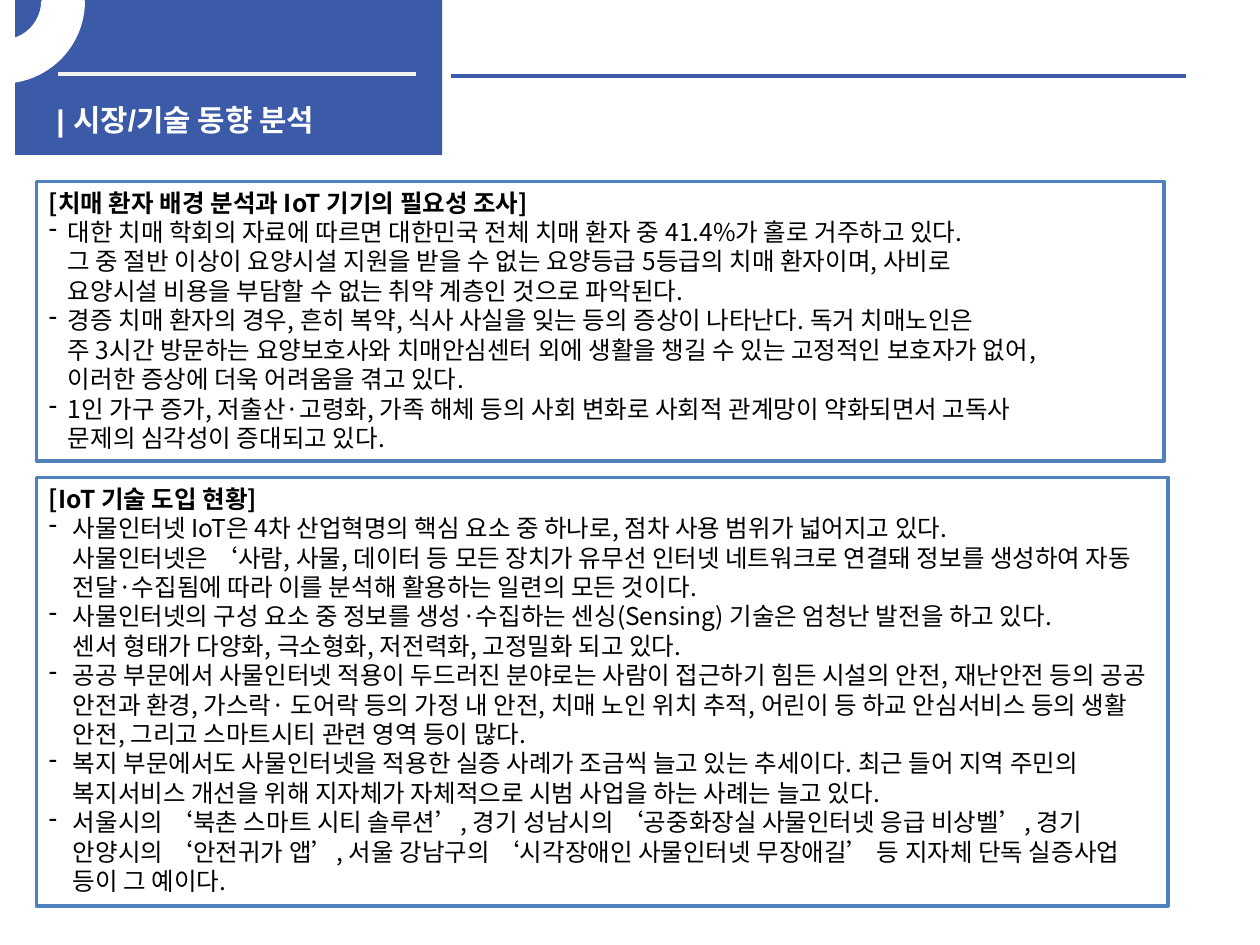
from dataclasses import dataclass

from lxml.etree import SubElement
from pptx import Presentation
from pptx.dml.color import RGBColor
from pptx.enum.shapes import MSO_CONNECTOR, MSO_SHAPE
from pptx.enum.text import MSO_ANCHOR, PP_ALIGN
from pptx.oxml.ns import qn
from pptx.util import Inches, Pt

BLUE, FRAME, WHITE, BLACK = "3B5AA8", "4F81BD", "FFFFFF", "000000"
LATIN, HANGUL = "Arial", "Noto Sans CJK KR"


@dataclass
class Panel:
    top: float
    width: float
    height: float
    indent: float
    heading: str
    items: list[str]


PANELS = [
    Panel(1.44, 8.95, 2.22, 0.15, "[치매 환자 배경 분석과 IoT 기기의 필요성 조사]", [
        "대한 치매 학회의 자료에 따르면 대한민국 전체 치매 환자 중 41.4%가 홀로 거주하고 있다.\v"
        "그 중 절반 이상이 요양시설 지원을 받을 수 없는 요양등급 5등급의 치매 환자이며, 사비로\v"
        "요양시설 비용을 부담할 수 없는 취약 계층인 것으로 파악된다.",
        "경증 치매 환자의 경우, 흔히 복약, 식사 사실을 잊는 등의 증상이 나타난다. 독거 치매노인은\v"
        "주 3시간 방문하는 요양보호사와 치매안심센터 외에 생활을 챙길 수 있는 고정적인 보호자가 없어,\v"
        "이러한 증상에 더욱 어려움을 겪고 있다.",
        "1인 가구 증가, 저출산·고령화, 가족 해체 등의 사회 변화로 사회적 관계망이 약화되면서 고독사\v"
        "문제의 심각성이 증대되고 있다.",
    ]),
    Panel(3.79, 8.98, 3.4, 0.19, "[IoT 기술 도입 현황]", [
        "사물인터넷 IoT은 4차 산업혁명의 핵심 요소 중 하나로, 점차 사용 범위가 넓어지고 있다.\v"
        "사물인터넷은 ‘사람, 사물, 데이터 등 모든 장치가 유무선 인터넷 네트워크로 연결돼 정보를 "
        "생성하여 자동 전달·수집됨에 따라 이를 분석해 활용하는 일련의 모든 것이다.",
        "사물인터넷의 구성 요소 중 정보를 생성·수집하는 센싱(Sensing) 기술은 엄청난 발전을 하고 있다.\v"
        "센서 형태가 다양화, 극소형화, 저전력화, 고정밀화 되고 있다.",
        "공공 부문에서 사물인터넷 적용이 두드러진 분야로는 사람이 접근하기 힘든 시설의 안전, "
        "재난안전 등의 공공 안전과 환경, 가스락· 도어락 등의 가정 내 안전, 치매 노인 위치 추적, "
        "어린이 등 하교 안심서비스 등의 생활 안전, 그리고 스마트시티 관련 영역 등이 많다.",
        "복지 부문에서도 사물인터넷을 적용한 실증 사례가 조금씩 늘고 있는 추세이다. 최근 들어 "
        "지역 주민의 복지서비스 개선을 위해 지자체가 자체적으로 시범 사업을 하는 사례는 늘고 있다.",
        "서울시의 ‘북촌 스마트 시티 솔루션’, 경기 성남시의 ‘공중화장실 사물인터넷 응급 비상벨’, "
        "경기 안양시의 ‘안전귀가 앱’, 서울 강남구의 ‘시각장애인 사물인터넷 무장애길’ 등 "
        "지자체 단독 실증사업 등이 그 예이다.",
    ]),
]


def color(value: str) -> RGBColor:
    return RGBColor.from_string(value)


def add_block(page, kind, left: float, top: float, width: float, height: float,
              fill: str, line: str | None = None):
    block = page.shapes.add_shape(
        kind, Inches(left), Inches(top), Inches(width), Inches(height))
    block.shadow.inherit = False
    block.fill.solid()
    block.fill.fore_color.rgb = color(fill)
    if line:
        block.line.color.rgb = color(line)
        block.line.width = Pt(2)
    else:
        block.line.fill.background()
    return block


def add_rule(page, start: float, end: float, y: float, line: str) -> None:
    rule = page.shapes.add_connector(
        MSO_CONNECTOR.STRAIGHT, Inches(start), Inches(y), Inches(end), Inches(y))
    rule.line.color.rgb = color(line)
    rule.line.width = Pt(2.25)
    SubElement(rule._element.spPr, qn("a:effectLst"))


def style(para, size: float, name: str, ink: str, bold: bool) -> None:
    para.alignment = PP_ALIGN.LEFT
    para.font.size = Pt(size)
    para.font.name = name
    para.font.bold = bold
    para.font.color.rgb = color(ink)
    for span in para.runs:
        SubElement(span._r.get_or_add_rPr(), qn("a:ea"), typeface=HANGUL)


def add_dash(para, indent: float) -> None:
    """Give the paragraph a dash bullet with a hanging indent."""
    properties = para._p.get_or_add_pPr()
    properties.set("marL", str(Inches(indent)))
    properties.set("indent", str(-Inches(indent)))
    SubElement(properties, qn("a:buChar"), char="-")


def add_panel(page, panel: Panel) -> None:
    box = add_block(page, MSO_SHAPE.RECTANGLE, 0.29, panel.top, panel.width,
                    panel.height, WHITE, FRAME)
    frame = box.text_frame
    frame.word_wrap = True
    frame.vertical_anchor = MSO_ANCHOR.TOP
    frame.text = "\n".join([panel.heading, *panel.items])
    for index, para in enumerate(frame.paragraphs):
        if index:
            add_dash(para, panel.indent)
        para.line_spacing = Pt(16.8)
        style(para, 14, HANGUL, BLACK, bold=index == 0)


def add_header(page) -> None:
    add_block(page, MSO_SHAPE.RECTANGLE, 0.12, 0, 3.39, 1.23, BLUE)
    add_rule(page, 0.46, 3.3, 0.59, "F2F2F2")
    add_rule(page, 3.58, 9.41, 0.6, BLUE)
    title = page.shapes.add_textbox(
        Inches(0.35), Inches(0.76), Inches(3.07), Inches(0.32))
    title.text_frame.word_wrap = True
    title.text_frame.text = "| 시장/기술 동향 분석"
    style(title.text_frame.paragraphs[0], 17, LATIN, WHITE, bold=True)
    ring = add_block(page, MSO_SHAPE.BLOCK_ARC, -0.63, -0.63, 1.29, 1.28, WHITE, WHITE)
    # Angles are in 60000ths of a degree, scaled down by 100000
    ring.adjustments[0] = 161.59 * 0.6
    ring.adjustments[1] = 0
    ring.adjustments[2] = 0.25
    ring._element.spPr.get_or_add_xfrm().set("flipV", "1")


def main() -> None:
    deck = Presentation()
    deck.slide_width, deck.slide_height = Inches(10), Inches(7.5)
    page = deck.slides.add_slide(deck.slide_layouts[6])
    add_header(page)
    for panel in PANELS:
        add_panel(page, panel)
    deck.save("out.pptx")


if __name__ == "__main__":
    main()
